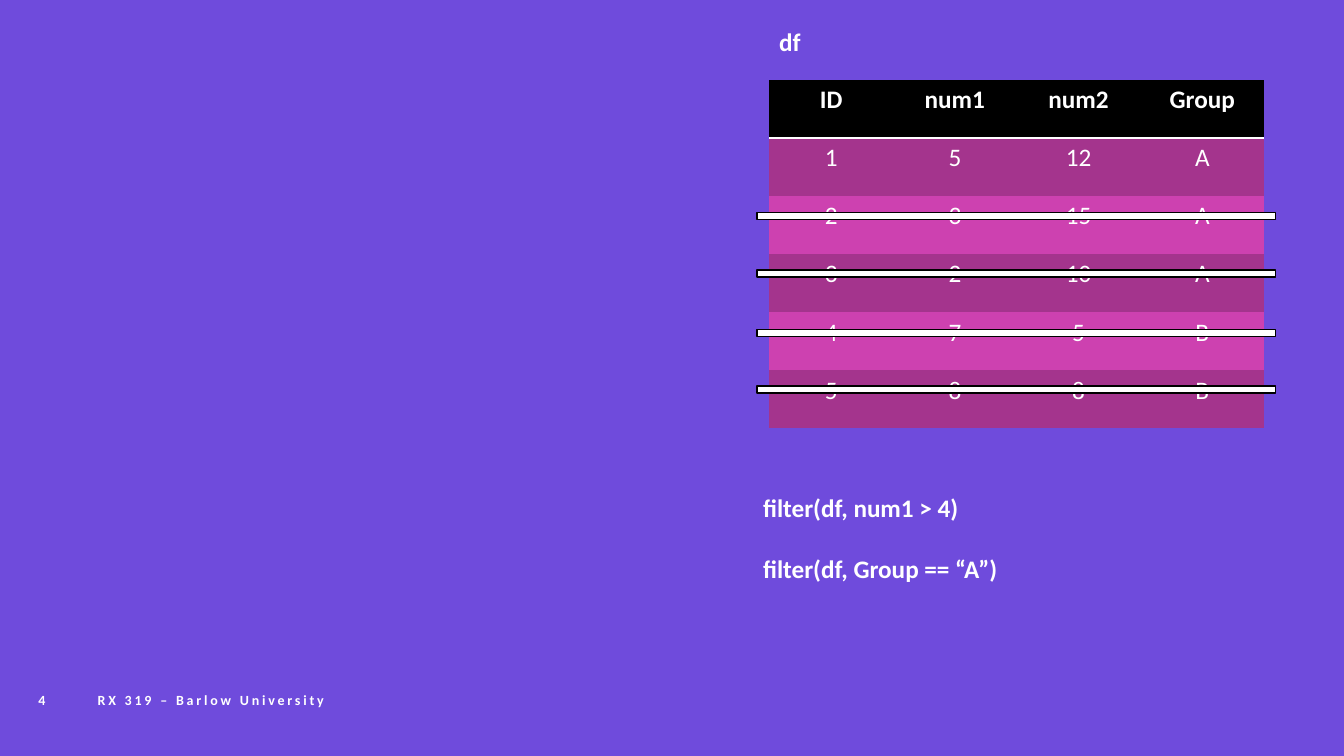
"""Build a slide that shows how filter() keeps the rows of a data frame."""
import lxml.etree
import pptx
import pptx.dml.color
import pptx.enum.shapes
import pptx.enum.text
import pptx.oxml.ns
import pptx.util

Inches = pptx.util.Inches
Pt = pptx.util.Pt
ALIGN = pptx.enum.text.PP_ALIGN
ANCHOR = pptx.enum.text.MSO_ANCHOR
qn = pptx.oxml.ns.qn

COLORS = {
    "background": "6F4BDC",
    "text": "FFFFFF",
    "header": "000000",
    "odd_row": "A4348D",
    "even_row": "CD41B0",
    "strike": "FFFFFF",
    "strike_line": "000000",
}
FONT = "Calibri"
PLAIN_TABLE_STYLE = "{2D5ABB26-0587-4C30-8999-92F81FD0307C}"

ROWS = [
    ("ID", "num1", "num2", "Group"),
    ("1", "5", "12", "A"),
    ("2", "3", "15", "A"),
    ("3", "2", "10", "A"),
    ("4", "7", "5", "B"),
    ("5", "8", "8", "B"),
]
TABLE_BOX = (7.63, 0.79, 4.91, 3.46)
STRIKE_TOPS = (2.11, 2.68, 3.27, 3.83)
STRIKE_LEFT, STRIKE_WIDTH, STRIKE_HEIGHT = 7.51, 5.14, 0.07

TEXTS = [
    {"box": (0.87, 6.29, 5.42, 0.79), "lines": ["RX 319 – Barlow University"],
     "size": 10, "spacing": 2, "anchor": ANCHOR.BOTTOM},
    {"box": (0, 6.29, 0.83, 0.79), "lines": ["4"],
     "size": 10, "spacing": 1, "anchor": ANCHOR.BOTTOM, "align": ALIGN.CENTER},
    {"box": (7.47, 4.83, 5.14, 1.01),
     "lines": ["filter(df, num1 > 4)", "filter(df, Group == “A”)"]},
    {"box": (7.63, 0.21, 0.61, 0.4), "lines": ["df"]},
]


def rgb(name):
    return pptx.dml.color.RGBColor.from_string(COLORS[name])


def paint(target, name):
    target.fill.solid()
    target.fill.fore_color.rgb = rgb(name)


def add_run(paragraph, text, size=18, bold=True, spacing=0):
    run = paragraph.add_run()
    run.text = text
    run.font.name = FONT
    run.font.size = Pt(size)
    run.font.bold = bold
    run.font.color.rgb = rgb("text")
    if spacing:
        run.font._element.set("spc", str(spacing * 100))


def add_text(slide, box, lines, size=18, spacing=0, anchor=ANCHOR.TOP, align=ALIGN.LEFT):
    frame = slide.shapes.add_textbox(*map(Inches, box)).text_frame
    frame.word_wrap = True
    frame.vertical_anchor = anchor
    for index, line in enumerate(lines):
        paragraph = frame.add_paragraph() if index else frame.paragraphs[0]
        paragraph.alignment = align
        if index:
            paragraph.space_before = Pt(22)
        add_run(paragraph, line, size, True, spacing)


def add_bottom_border(cell, name, width):
    properties = cell._tc.get_or_add_tcPr()
    border = lxml.etree.SubElement(properties, qn("a:lnB"), w=str(Pt(width)))
    fill = lxml.etree.SubElement(border, qn("a:solidFill"))
    lxml.etree.SubElement(fill, qn("a:srgbClr"), val=COLORS[name])


def add_data_table(slide):
    frame = slide.shapes.add_table(len(ROWS), len(ROWS[0]), *map(Inches, TABLE_BOX))
    next(frame._element.iter(qn("a:tableStyleId"))).text = PLAIN_TABLE_STYLE
    for row_index, row in enumerate(ROWS):
        is_header = row_index == 0
        row_color = "header" if is_header else ("even_row", "odd_row")[row_index % 2]
        for column_index, value in enumerate(row):
            cell = frame.table.cell(row_index, column_index)
            if is_header:
                add_bottom_border(cell, "text", 2)
            paint(cell, row_color)
            paragraph = cell.text_frame.paragraphs[0]
            paragraph.alignment = ALIGN.CENTER
            add_run(paragraph, value, bold=is_header)


def add_strike(slide, top):
    box = (STRIKE_LEFT, top, STRIKE_WIDTH, STRIKE_HEIGHT)
    strike = slide.shapes.add_shape(
        pptx.enum.shapes.MSO_SHAPE.RECTANGLE, *map(Inches, box))
    strike.shadow.inherit = False
    paint(strike, "strike")
    strike.line.color.rgb = rgb("strike_line")
    strike.line.width = Pt(1)


def main():
    presentation = pptx.Presentation()
    presentation.slide_width = Inches(13.33)
    presentation.slide_height = Inches(7.5)
    slide = presentation.slides.add_slide(presentation.slide_layouts[6])
    paint(slide.background, "background")
    add_data_table(slide)
    for text in TEXTS:
        add_text(slide, **text)
    for top in STRIKE_TOPS:
        add_strike(slide, top)
    presentation.save("out.pptx")


if __name__ == "__main__":
    main()
